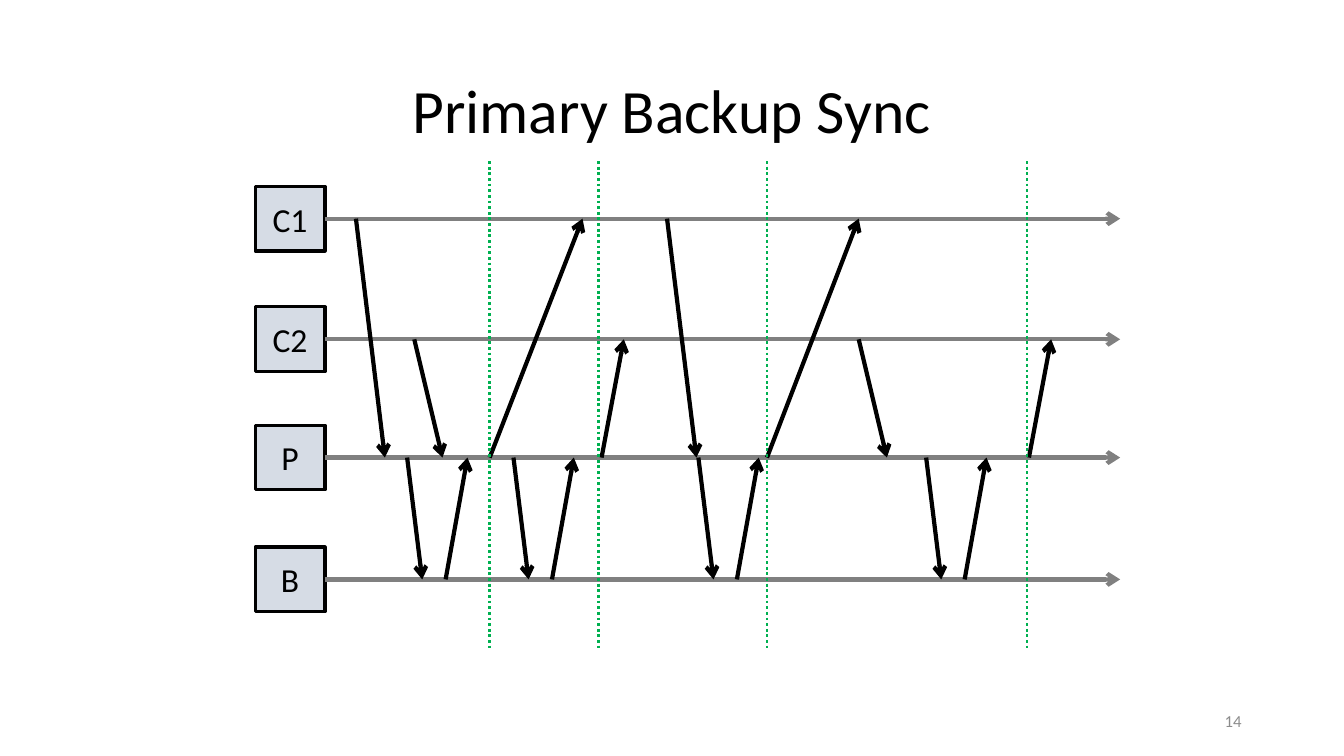
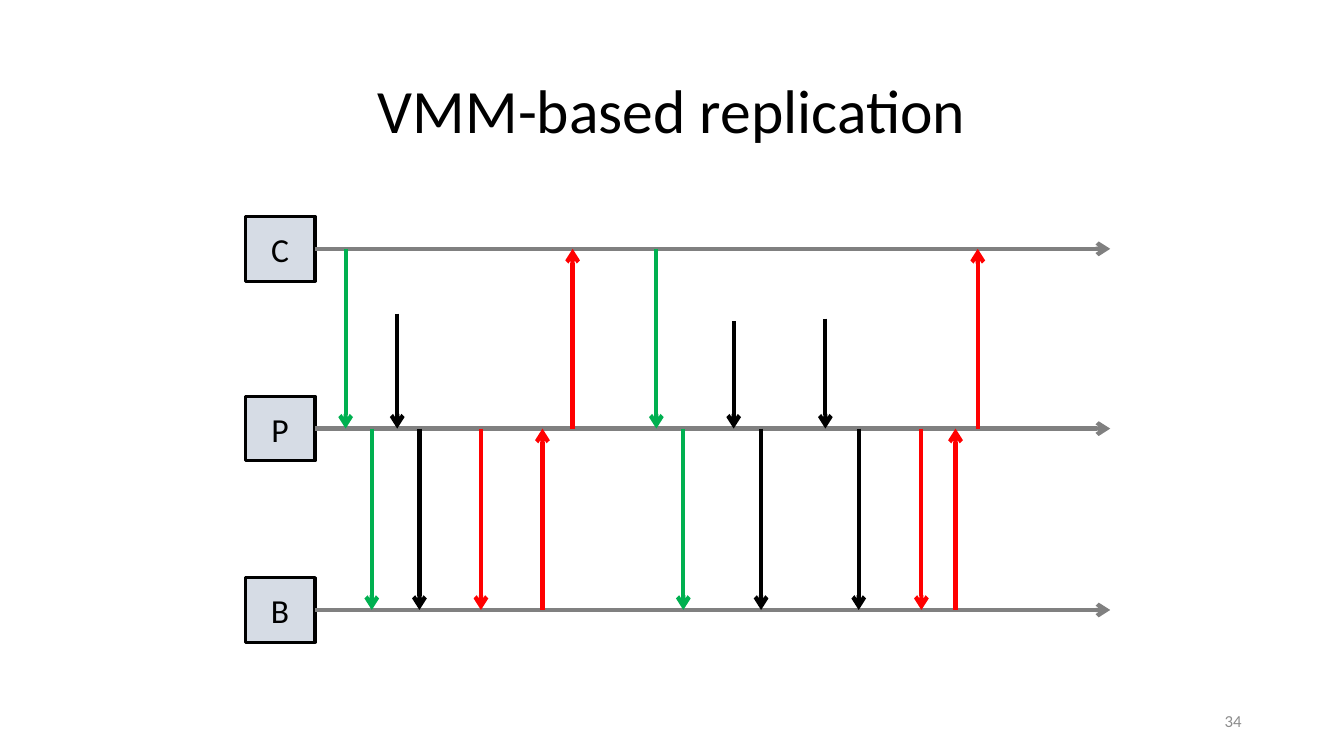
from lxml import etree
from pptx import Presentation
from pptx.dml.color import RGBColor
from pptx.enum.dml import MSO_LINE
from pptx.enum.shapes import MSO_CONNECTOR, MSO_SHAPE
from pptx.enum.text import MSO_ANCHOR, PP_ALIGN
from pptx.oxml.ns import qn
from pptx.util import Cm, Pt

STRAIGHT = MSO_CONNECTOR.STRAIGHT
PROCESS = MSO_SHAPE.FLOWCHART_PROCESS
DOTTED = MSO_LINE.ROUND_DOT
MIDDLE = MSO_ANCHOR.MIDDLE
CENTER, RIGHT = PP_ALIGN.CENTER, PP_ALIGN.RIGHT

BLACK = RGBColor(0x00, 0x00, 0x00)
GRAY = RGBColor(0x80, 0x80, 0x80)
LIGHT_GRAY = RGBColor(0x8C, 0x8C, 0x8C)
PALE_BLUE = RGBColor(0xD6, 0xDC, 0xE5)
GREEN = RGBColor(0x00, 0xB0, 0x50)
RED = RGBColor(0xFF, 0x00, 0x00)

FONT = "Calibri"
BOX_W, BOX_H = 1.76, 1.63
LANE_LENGTH = 20.04


def write_text(sp, text, size, color=BLACK, align=CENTER, spacing=None):
    tf = sp.text_frame
    tf.word_wrap = True
    tf.vertical_anchor = MIDDLE
    p = tf.paragraphs[0]
    p.alignment = align
    if spacing:
        p.line_spacing = spacing
    r = p.add_run()
    r.text = text
    r.font.name, r.font.size = FONT, Pt(size)
    r.font.color.rgb = color


class SequenceDeck:
    def __init__(self):
        self.prs = Presentation()
        self.prs.slide_width, self.prs.slide_height = Cm(33.87), Cm(19.05)
        self.s = None
        self.lanes = {}

    def slide(self, title, number):
        self.s = self.prs.slides.add_slide(self.prs.slide_layouts[6])
        self.lanes = {}
        self.text(title, 2.33, 1.01, 29.21, 3.68, size=44, spacing=0.9)
        self.text(str(number), 23.92, 17.66, 7.62, 1.01, size=12,
                  color=LIGHT_GRAY, align=RIGHT)

    def text(self, text, x, y, w, h, **fmt):
        sp = self.s.shapes.add_textbox(Cm(x), Cm(y), Cm(w), Cm(h))
        write_text(sp, text, **fmt)

    def line(self, x1, y1, x2, y2, color, width=3, dash=None, arrow=True):
        line = self.s.shapes.add_connector(STRAIGHT, Cm(x1), Cm(y1), Cm(x2), Cm(y2))
        line.line.color.rgb = color
        line.line.width = Pt(width)
        if dash:
            line.line.dash_style = dash
        props = line._element.spPr
        if arrow:
            etree.SubElement(props.find(qn("a:ln")), qn("a:tailEnd"), type="arrow")
        etree.SubElement(props, qn("a:effectLst"))
        return line

    def lane(self, name, x, y):
        """Box with a time line that starts at its right side."""
        sp = self.s.shapes.add_shape(PROCESS, Cm(x), Cm(y - BOX_H / 2),
                                     Cm(BOX_W), Cm(BOX_H))
        sp.shadow.inherit = False
        sp.fill.solid()
        sp.fill.fore_color.rgb = PALE_BLUE
        sp.line.color.rgb = BLACK
        sp.line.width = Pt(2.25)
        write_text(sp, name, size=24)
        right = x + BOX_W
        self.line(right, y, right + LANE_LENGTH, y, GRAY).begin_connect(sp, 3)
        self.lanes[name] = y

    def message(self, source, x1, target, x2, color=BLACK):
        self.line(x1, self.lanes[source], x2, self.lanes[target], color)

    def event(self, x, top, target):
        self.line(x, top, x, self.lanes[target], BLACK)

    def sync_point(self, x):
        self.line(x, 4.06, x, 16.33, GREEN, width=2, dash=DOTTED, arrow=False)


def primary_backup(deck):
    deck.slide("Primary Backup Sync", 14)
    for name, y in (("C1", 5.51), ("C2", 8.55), ("P", 11.53), ("B", 14.6)):
        deck.lane(name, 6.43, y)

    # Requests and replies
    for message in (
        ("C1", 8.97, "P", 9.7), ("C2", 10.44, "P", 11.15),
        ("P", 12.34, "C1", 14.68), ("P", 15.16, "C2", 15.72),
        ("C1", 16.81, "P", 17.55), ("P", 19.33, "C1", 21.64),
        ("C2", 21.64, "P", 22.35), ("P", 25.93, "C2", 26.49),
    ):
        deck.message(*message)

    for x in (12.34, 15.09, 19.33, 25.88):
        deck.sync_point(x)

    # Round trips to the backup
    for x in (10.26, 12.94, 17.6, 23.34):
        deck.message("P", x, "B", x + 0.38)
        deck.message("B", x + 0.97, "P", x + 1.52)


def vmm_replication(deck):
    deck.slide("VMM-based replication", 34)
    for name, y in (("C", 6.27), ("P", 10.8), ("B", 15.37)):
        deck.lane(name, 6.18, y)

    # Events that reach the primary
    for x, top in ((10.01, 7.9), (18.49, 8.1), (20.8, 8.03)):
        deck.event(x, top, "P")

    # Upright messages by direction and colour
    for source, target, color, positions in (
        ("C", "P", GREEN, (8.71, 16.54)),
        ("P", "B", GREEN, (9.37, 17.22)),
        ("P", "B", BLACK, (10.57, 19.18, 21.64)),
        ("P", "B", RED, (12.12, 23.22)),
        ("B", "P", RED, (13.67, 24.08)),
        ("P", "C", RED, (14.43, 24.64)),
    ):
        for x in positions:
            deck.message(source, x, target, x, color)


def main():
    deck = SequenceDeck()
    primary_backup(deck)
    vmm_replication(deck)
    deck.prs.save("out.pptx")


if __name__ == "__main__":
    main()
